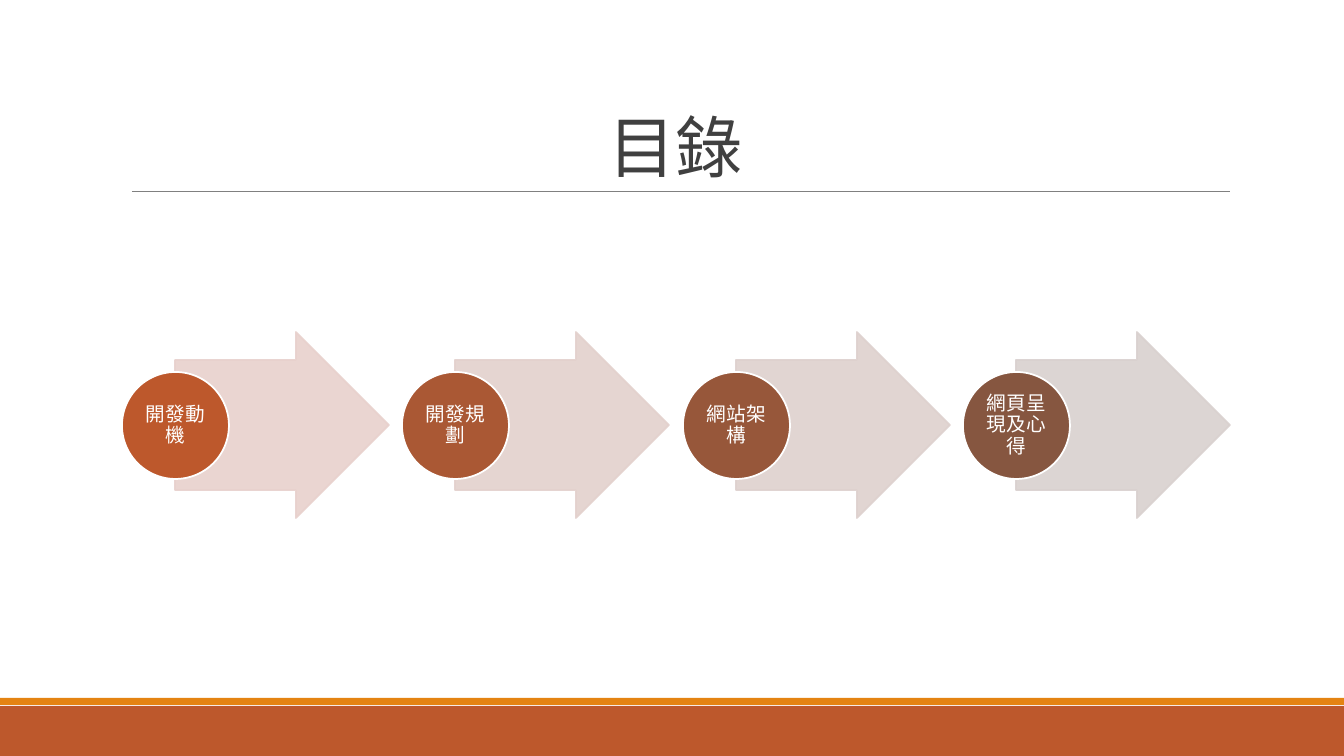
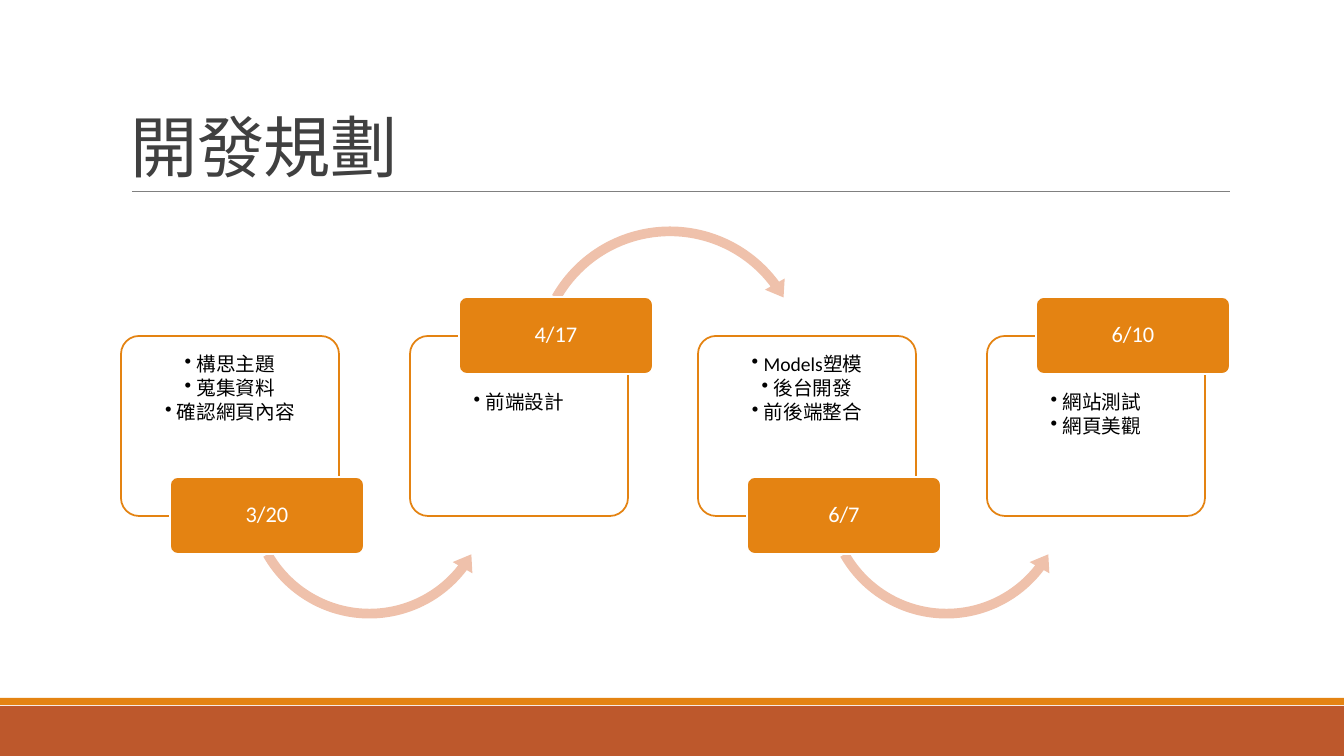
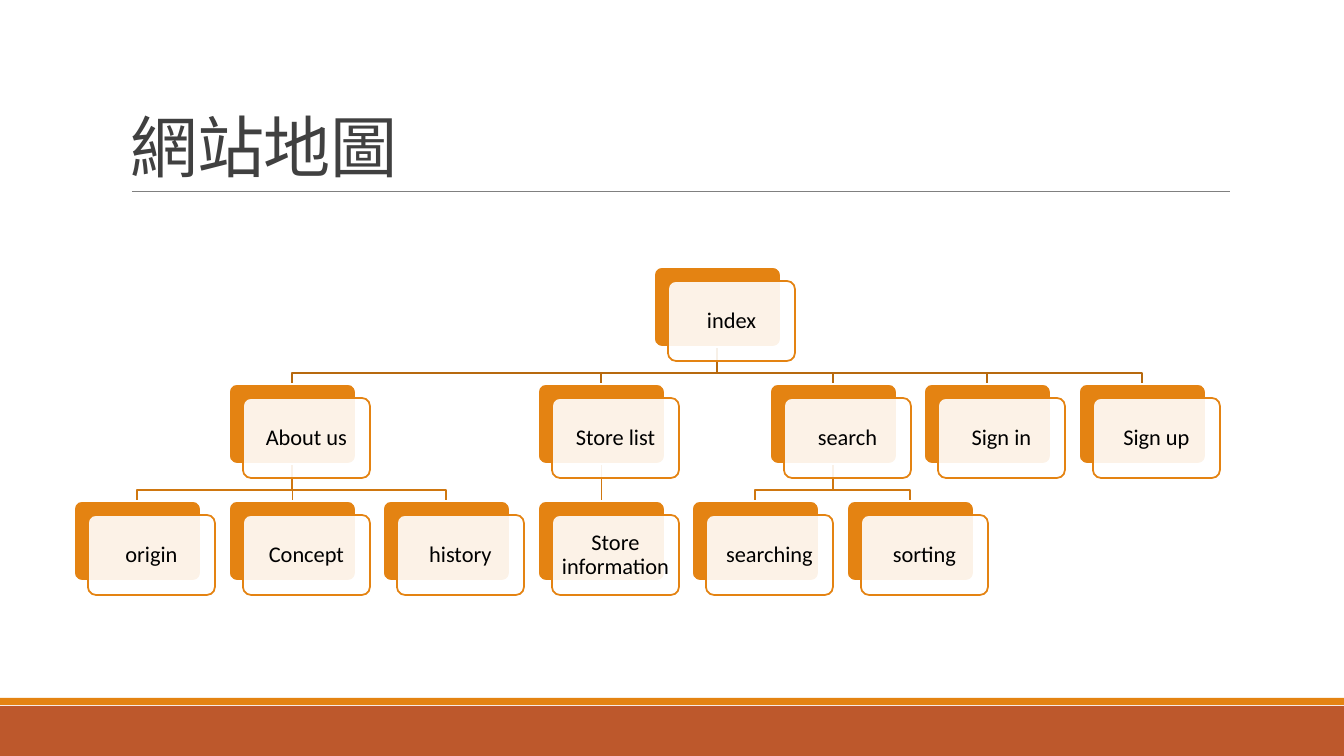
from lxml.etree import SubElement
from pptx import Presentation
from pptx.dml.color import RGBColor
from pptx.enum.shapes import MSO_CONNECTOR, MSO_SHAPE
from pptx.enum.text import MSO_ANCHOR, PP_ALIGN
from pptx.oxml.ns import qn
from pptx.util import Emu, Pt

RECT = MSO_SHAPE.RECTANGLE
ROUNDED = MSO_SHAPE.ROUNDED_RECTANGLE
ELLIPSE = MSO_SHAPE.OVAL
ARROW = MSO_SHAPE.RIGHT_ARROW
CURVE_OVER = MSO_SHAPE.CIRCULAR_ARROW
CURVE_UNDER = MSO_SHAPE.LEFT_CIRCULAR_ARROW
STRAIGHT = MSO_CONNECTOR.STRAIGHT
LEFT, CENTER = PP_ALIGN.LEFT, PP_ALIGN.CENTER
TOP, MIDDLE, BOTTOM = MSO_ANCHOR.TOP, MSO_ANCHOR.MIDDLE, MSO_ANCHOR.BOTTOM

RUST = RGBColor(0xBD, 0x58, 0x2C)
ORANGE = RGBColor(0xE4, 0x83, 0x12)
PEACH = RGBColor(0xEF, 0xC1, 0xAB)
UPPER_BRANCH = RGBColor(0xB7, 0x69, 0x0E)
LOWER_BRANCH = RGBColor(0xCF, 0x77, 0x10)
GRAY = RGBColor(0x80, 0x80, 0x80)
DARK = RGBColor(0x40, 0x40, 0x40)
BLACK = RGBColor(0, 0, 0)
WHITE = RGBColor(0xFF, 0xFF, 0xFF)

WIDTH, HEIGHT = 1344, 756
EMU_PER_PX = 12192000 / WIDTH
FONT = "Calibri"
OUTLINE = 1.25


def px(length):
    """Turn pixels into EMU."""
    return Emu(round(length * EMU_PER_PX))


class Deck:
    """Holds the shared style and the slide being drawn."""

    def __init__(self):
        self.prs = Presentation()
        self.prs.slide_width, self.prs.slide_height = px(WIDTH), px(HEIGHT)

    def new_slide(self, title, align=LEFT):
        self.shapes = self.prs.slides.add_slide(self.prs.slide_layouts[6]).shapes
        self.shape(RECT, (0, 706, WIDTH, 50), RUST)
        self.shape(RECT, (0, 698, WIDTH, 7), ORANGE)
        self.line((132, 191), (1230, 191), GRAY, 0.5)
        heading = self.shapes.add_textbox(*map(px, (121, 31, 1109, 160)))
        self.text(heading, [title], 48, DARK, align, BOTTOM, (10, 5, 10, 5), 0.85)
        for run in heading.text_frame.paragraphs[0].runs:
            run.font._element.set("spc", "-50")

    def shape(self, kind, box, fill, outline=None, adjust=(), opacity=100):
        shape = self.shapes.add_shape(kind, *map(px, box))
        shape.shadow.inherit = False
        for index, percent in enumerate(adjust):
            shape.adjustments[index] = percent / 100
        shape.fill.solid()
        shape.fill.fore_color.rgb = fill
        if outline is None:
            shape.line.fill.background()
        else:
            shape.line.color.rgb = outline
            shape.line.width = Pt(OUTLINE)
        if opacity < 100:
            for color in shape._element.spPr.iter(qn("a:srgbClr")):
                if color.get("val") == str(fill):
                    SubElement(color, qn("a:alpha")).set("val", str(opacity * 1000))
        return shape

    def text(self, holder, lines, size, color, align=CENTER, anchor=MIDDLE,
             insets=(1, 1, 1, 1), spacing=0.9, bullets=False):
        frame = holder.text_frame
        frame.word_wrap = True
        frame.vertical_anchor = anchor
        (frame.margin_left, frame.margin_top,
         frame.margin_right, frame.margin_bottom) = map(px, insets)
        for index, line in enumerate(lines):
            paragraph = frame.add_paragraph() if index else frame.paragraphs[0]
            paragraph.alignment = align
            paragraph.line_spacing = spacing
            if bullets:
                paragraph.space_after = Pt(2)
                props = paragraph._p.get_or_add_pPr()
                props.set("marL", str(px(12)))
                props.set("indent", str(-px(12)))
                SubElement(props, qn("a:buChar")).set("char", "•")
            run = paragraph.add_run()
            run.text = line
            run.font.size = Pt(size)
            run.font.name = FONT
            run.font.color.rgb = color

    def line(self, start, end, color, weight=OUTLINE):
        line = self.shapes.add_connector(STRAIGHT, *map(px, (*start, *end)))
        line.line.color.rgb = color
        line.line.width = Pt(weight)
        SubElement(line._element.spPr, qn("a:effectLst"))
        return line

    def branch(self, points, color):
        start, *rest = [(px(x), px(y)) for x, y in points]
        builder = self.shapes.build_freeform(*start)
        builder.add_line_segments(rest, close=False)
        branch = builder.convert_to_shape()
        branch.shadow.inherit = False
        branch.fill.background()
        branch.line.color.rgb = color
        branch.line.width = Pt(OUTLINE)


def contents_slide(deck):
    """Draw the four chapters as circles on arrows."""
    deck.new_slide("目錄", CENTER)
    chapters = [
        ("開發動機", "E8D1CD", "BD582C"),
        ("開發規劃", "E3D1CD", "AA5834"),
        ("網站架構", "DED1CE", "97573A"),
        ("網頁呈現及心得", "D9D1CF", "865640"),
    ]
    for index, (chapter, pale, strong) in enumerate(chapters):
        left = round(122 + 280.4 * index)
        tint = RGBColor.from_string(pale)
        deck.shape(ARROW, (left + 53, 332, 214, 186), tint, tint, (70, 50), 90)
        circle = deck.shape(ELLIPSE, (left, 372, 107, 107),
                            RGBColor.from_string(strong), WHITE)
        deck.text(circle, [chapter], 14, WHITE)


def schedule_slide(deck):
    """Draw the dated steps, alternating low and high."""
    deck.new_slide("開發規劃")
    steps = [
        ("3/20", ["構思主題", "蒐集資料", "確認網頁內容"]),
        ("4/17", ["前端設計"]),
        ("6/7", ["Models塑模", "後台開發", "前後端整合"]),
        ("6/10", ["網站測試", "網頁美觀"]),
    ]
    for index, (date, tasks) in enumerate(steps):
        left = round(121 + 288.7 * index)
        high = index % 2 == 1
        card = deck.shape(ROUNDED, (left, 336, 218, 180), WHITE, ORANGE, (10,), 90)
        deck.text(card, tasks, 14, BLACK, anchor=TOP,
                  insets=(13, 51 if high else 13, 13, 13), bullets=True)
        if index < len(steps) - 1:
            if high:
                deck.shape(CURVE_OVER, (left + 118, 220, 284, 284), PEACH,
                           adjust=(3.4, 419.9, 19404.6, 12575.5, 4))
            else:
                deck.shape(CURVE_UNDER, (left + 120, 368, 257, 257), PEACH,
                           adjust=(3.8, 469.7, 2245.2, 9024.5, 4.4))
        badge = deck.shape(ROUNDED, (left + 49, 297 if high else 477, 194, 77),
                           ORANGE, WHITE, (10,))
        deck.text(badge, [date], 16, WHITE)


def sitemap_slide(deck):
    """Draw the page tree, branches behind the cards."""
    deck.new_slide("網站地圖")
    card_w, card_h, offset = 127, 80, 14
    pages = {
        "index": (3.75, 0, None),
        "About us": (1, 1, "index"),
        "origin": (0, 2, "About us"),
        "Concept": (1, 2, "About us"),
        "history": (2, 2, "About us"),
        "Store list": (3, 1, "index"),
        "Store information": (3, 2, "Store list"),
        "search": (4.5, 1, "index"),
        "searching": (4, 2, "search"),
        "sorting": (5, 2, "search"),
        "Sign in": (5.5, 1, "index"),
        "Sign up": (6.5, 1, "index"),
    }
    tops = {page: (round(137 + 154.6 * slot), 267 + 117 * level)
            for page, (slot, level, _) in pages.items()}
    straight, backs = [], {}
    for page, (_, level, parent) in pages.items():
        if parent is None:
            continue
        x, y = tops[page]
        parent_x, parent_y = tops[parent]
        start, bend = (parent_x, parent_y + card_h), y - 11
        color = UPPER_BRANCH if level == 1 else LOWER_BRANCH
        if x == parent_x:
            straight.append((deck.line(start, (x, y), color), parent, page))
        else:
            deck.branch([start, (parent_x, bend), (x, bend), (x, y)], color)
    for page, (x, y) in tops.items():
        left = x - card_w // 2
        backs[page] = deck.shape(ROUNDED, (left, y, card_w, card_h),
                                 ORANGE, WHITE, (10,))
        front = deck.shape(ROUNDED, (left + offset, y + offset, card_w, card_h),
                           WHITE, ORANGE, (10,), 90)
        deck.text(front, [page], 16, BLACK, insets=(7, 7, 7, 7))
    for line, parent, page in straight:
        line.begin_connect(backs[parent], 2)
        line.end_connect(backs[page], 0)


def main():
    """Build and save the slides."""
    deck = Deck()
    contents_slide(deck)
    schedule_slide(deck)
    sitemap_slide(deck)
    deck.prs.save("out.pptx")


if __name__ == "__main__":
    main()
